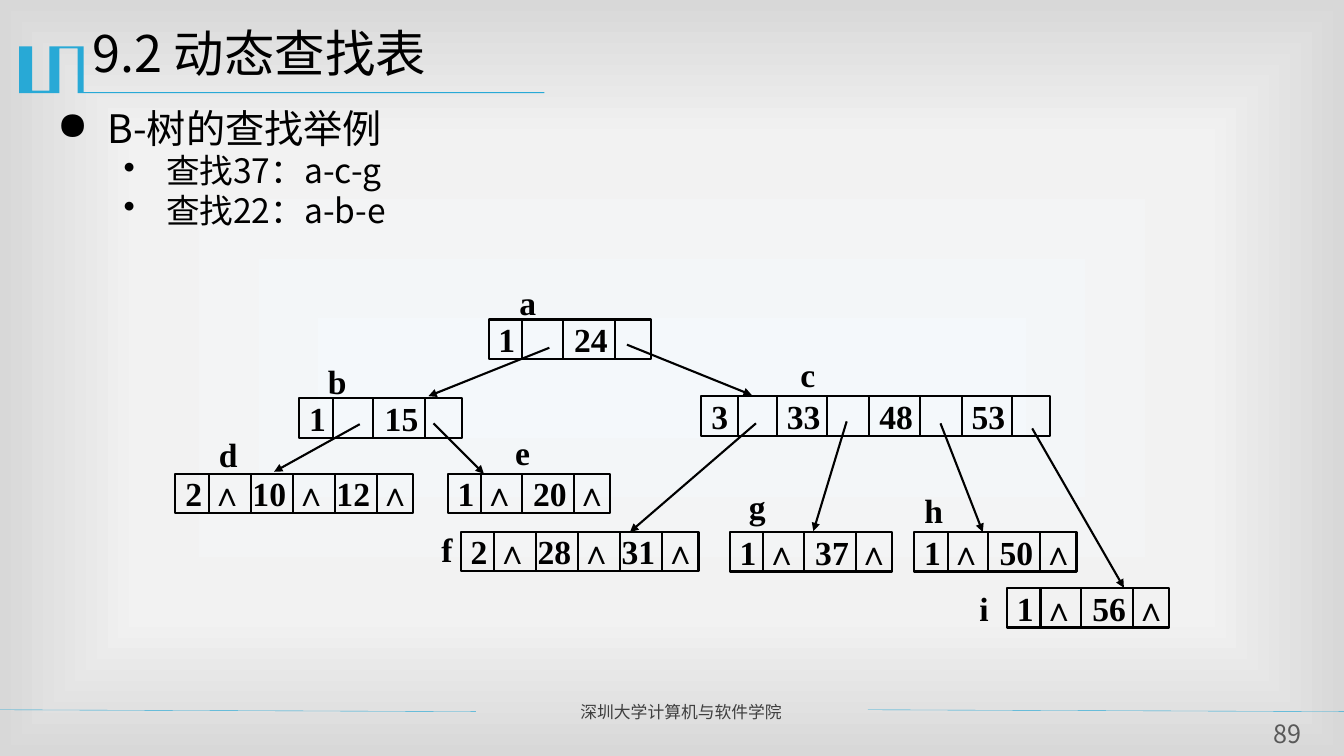
"""Build the slide on searching a B-tree."""
import pptx
import pptx.dml.color
import pptx.enum.shapes
import pptx.enum.text
import pptx.oxml
import pptx.oxml.ns
import pptx.util

Pt = pptx.util.Pt
ALIGN = pptx.enum.text.PP_ALIGN
ANCHOR = pptx.enum.text.MSO_ANCHOR
STRAIGHT = pptx.enum.shapes.MSO_CONNECTOR.STRAIGHT
RECTANGLE = pptx.enum.shapes.MSO_SHAPE.RECTANGLE
CJK = "Noto Sans CJK SC"
NODE_FONT = {"name": "Times New Roman", "size": Pt(24), "bold": True}
BLACK, ACCENT = "000000", "28A9D6"
NODE_HEIGHT = 28.25

ONE_KEY = {"width": 116, "dividers": [24, 53, 90], "tabs": [54]}
TWO_KEYS = {"width": 170, "dividers": [24, 54, 84, 114, 144], "tabs": []}
THREE_KEYS = {"width": 249, "dividers": [26, 54, 90, 120, 156, 186, 222], "tabs": [54, 120, 186]}

NODES = [
    ("a", 363, 201.6, 349, 228.25, "1\t24", ONE_KEY),
    ("b", 226.8, 258.5, 213.75, 284.5, "1\t15", ONE_KEY),
    ("c", 563, 253.5, 501, 283, "3\t33\t48\t53", THREE_KEYS),
    ("d", 149, 310.5, 125.25, 338.25, "2 ∧ 10 ∧ 12 ∧", TWO_KEYS),
    ("e", 359.3, 309, 319.75, 338.25, "1 ∧\t20 ∧", ONE_KEY),
    ("f", 305.3, 378, 329, 379.75, "2 ∧ 28 ∧ 31 ∧", TWO_KEYS),
    ("g", 527, 347.8, 521.25, 380, "1 ∧\t37 ∧", ONE_KEY),
    ("h", 653, 350, 653, 380, "1 ∧\t50 ∧", ONE_KEY),
    ("i", 689, 420, 719.25, 420, "1 ∧\t56 ∧", ONE_KEY),
]
POINTERS = [
    (392.4, 248.4, 306, 283), (447.8, 246.2, 537, 282.2),
    (257, 303, 195.8, 337), (309.6, 302.4, 345.6, 338.4),
    (540, 302.4, 450, 380), (604.8, 301, 581, 379.4),
    (671.8, 302.4, 702, 380), (737.3, 306, 802.8, 419.8),
]
EMBLEM = [
    (59, 33.1), (59.8, 33.1), (59.8, 65.8), (388.8, 65.8), (388.8, 66.5),
    (55.4, 66.5), (55.4, 34.6), (42.5, 34.6), (42.5, 66.5), (13.7, 66.5),
    (13.7, 33.1), (23, 33.1), (23, 64.8), (35.3, 64.8), (35.3, 33.1),
]


def color(hex_value):
    """Return a colour object for a hex string."""
    return pptx.dml.color.RGBColor.from_string(hex_value)


def apply(target, values):
    """Set each attribute of the target from a dict."""
    for name, value in values.items():
        setattr(target, name, value)


def add_element(parent, tag, **attributes):
    """Append a DrawingML element with the given attributes."""
    child = parent.makeelement(pptx.oxml.ns.qn(tag), {})
    for name, value in attributes.items():
        child.set(name, str(value))
    parent.append(child)
    return child


def write(paragraph, text, font, ink=BLACK):
    """Add formatted text to a paragraph."""
    run = paragraph.add_run()
    run.text = text
    apply(run.font, font)
    run.font.color.rgb = color(ink)
    add_element(run.font._element, "a:ea", typeface=font["name"])


def set_frame(frame, anchor=ANCHOR.TOP, left=0, top=0):
    """Set wrapping, anchor and margins of a text frame."""
    apply(frame, {
        "word_wrap": True, "auto_size": pptx.enum.text.MSO_AUTO_SIZE.NONE,
        "vertical_anchor": anchor, "margin_left": Pt(left), "margin_right": 0,
        "margin_top": Pt(top), "margin_bottom": 0,
    })


def add_text(slide, box, text, font, ink=BLACK, align=ALIGN.CENTER, **margins):
    """Add a one-paragraph text box."""
    frame = slide.shapes.add_textbox(*map(Pt, box)).text_frame
    set_frame(frame, **margins)
    frame.paragraphs[0].alignment = align
    write(frame.paragraphs[0], text, font, ink)


def add_line(slide, ends, ink=BLACK, width=1.5, arrow=False):
    """Add a straight line, with an optional arrowhead at its end."""
    line = slide.shapes.add_connector(STRAIGHT, *map(Pt, ends))
    line.line.color.rgb = color(ink)
    line.line.width = Pt(width)
    if arrow:
        add_element(line.line._get_or_add_ln(), "a:tailEnd", type="triangle")
    add_element(line._element.spPr, "a:effectLst")


def add_node(slide, label, label_x, label_y, x, y, keys, layout):
    """Add a tree node with its label, keys and cell dividers."""
    add_text(slide, (label_x, label_y, 28, 28), label, NODE_FONT, anchor=ANCHOR.MIDDLE)
    node = slide.shapes.add_shape(
        RECTANGLE, Pt(x), Pt(y), Pt(layout["width"]), Pt(NODE_HEIGHT))
    node.shadow.inherit = False
    node.fill.background()
    node.line.color.rgb = color(BLACK)
    node.line.width = Pt(1.5)
    set_frame(node.text_frame, ANCHOR.MIDDLE, 7.2)
    paragraph = node.text_frame.paragraphs[0]
    paragraph.alignment = ALIGN.LEFT
    if layout["tabs"]:
        stops = add_element(paragraph._p.get_or_add_pPr(), "a:tabLst")
        for stop in layout["tabs"]:
            add_element(stops, "a:tab", pos=Pt(stop), algn="l")
    write(paragraph, keys, NODE_FONT)
    for offset in layout["dividers"]:
        add_line(slide, (x + offset, y, x + offset, y + NODE_HEIGHT))


def add_bullets(slide, box, items):
    """Add the bulleted list of search examples."""
    frame = slide.shapes.add_textbox(*map(Pt, box)).text_frame
    set_frame(frame, left=7.2, top=3.6)
    for index, (text, size, mark, margin, hanging) in enumerate(items):
        paragraph = frame.add_paragraph() if index else frame.paragraphs[0]
        apply(paragraph, {"line_spacing": 0.9, "space_before": Pt(2 if index else 0)})
        properties = paragraph._p.get_or_add_pPr()
        properties.set("marL", str(Pt(margin)))
        properties.set("indent", str(Pt(-hanging)))
        add_element(properties, "a:buChar", char=mark)
        write(paragraph, text, {"name": CJK, "size": Pt(size)})


def add_background(slide):
    """Fill the background with a gradient out from the centre."""
    stops = "".join(
        f'<a:gs pos="{position}"><a:srgbClr val="{ink}"/></a:gs>'
        for position, ink in [(0, "F4F8FB"), (63000, "F2F2F2"), (100000, "D8D8D8")])
    slide._element.cSld.insert(0, pptx.oxml.parse_xml(
        f'<p:bg {pptx.oxml.ns.nsdecls("p", "a")}><p:bgPr><a:gradFill><a:gsLst>{stops}</a:gsLst>'
        '<a:path path="rect"><a:fillToRect l="50000" t="50000" r="50000" b="50000"/></a:path>'
        '</a:gradFill><a:effectLst/></p:bgPr></p:bg>'))


def add_emblem(slide):
    """Add the stepped ornament that underlines the title."""
    start, *corners = [(Pt(x), Pt(y)) for x, y in EMBLEM]
    builder = slide.shapes.build_freeform(*start, scale=1.0)
    builder.add_line_segments(corners, close=True)
    emblem = builder.convert_to_shape()
    emblem.shadow.inherit = False
    emblem.fill.solid()
    emblem.fill.fore_color.rgb = color(ACCENT)
    emblem.line.fill.background()


def set_title(slide, text):
    """Move and format the title placeholder."""
    title = slide.shapes.title
    apply(title, {"left": Pt(59), "top": Pt(17.3), "width": Pt(864), "height": Pt(62.6)})
    set_frame(title.text_frame, left=7.2, top=3.6)
    paragraph = title.text_frame.paragraphs[0]
    apply(paragraph, {"alignment": ALIGN.LEFT, "line_spacing": 0.9})
    write(paragraph, text, {"name": CJK, "size": Pt(36)})


def main():
    """Build and save the slide."""
    deck = pptx.Presentation()
    apply(deck, {"slide_width": Pt(960), "slide_height": Pt(540)})
    slide = deck.slides.add_slide(deck.slide_layouts[5])
    add_background(slide)
    add_emblem(slide)
    for left, right in [(0, 340), (620, 960)]:
        add_line(slide, (left, 507, right, 508.3), ACCENT, 0.25)
    add_text(slide, (407.5, 497.5, 205, 21.6), "深圳大学计算机与软件学院",
             {"name": CJK, "size": Pt(12)}, "3F3F3F", ALIGN.LEFT, left=7.2, top=3.6)
    add_text(slide, (898.6, 513.4, 42.5, 22.3), "89", {"name": CJK, "size": Pt(18)}, "595959")
    set_title(slide, "9.2 动态查找表")
    add_bullets(slide, (33.8, 74.9, 873.4, 131.8), [
        ("B-树的查找举例", 28, "●", 36, 36),
        ("查找37：a-c-g", 24, "•", 77.75, 30.25),
        ("查找22：a-b-e", 24, "•", 77.75, 30.25),
    ])
    for node in NODES:
        add_node(slide, *node)
    for ends in POINTERS:
        add_line(slide, ends, arrow=True)
    deck.save("out.pptx")


if __name__ == "__main__":
    main()
